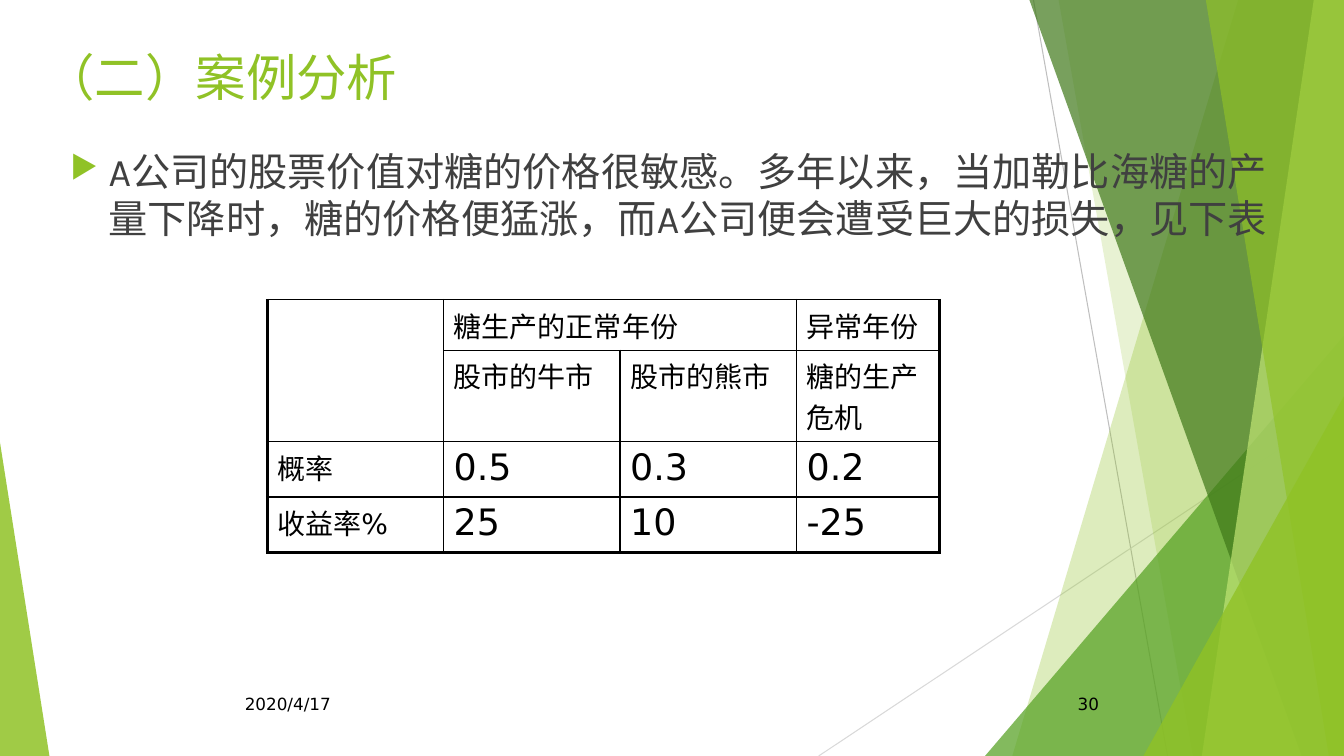
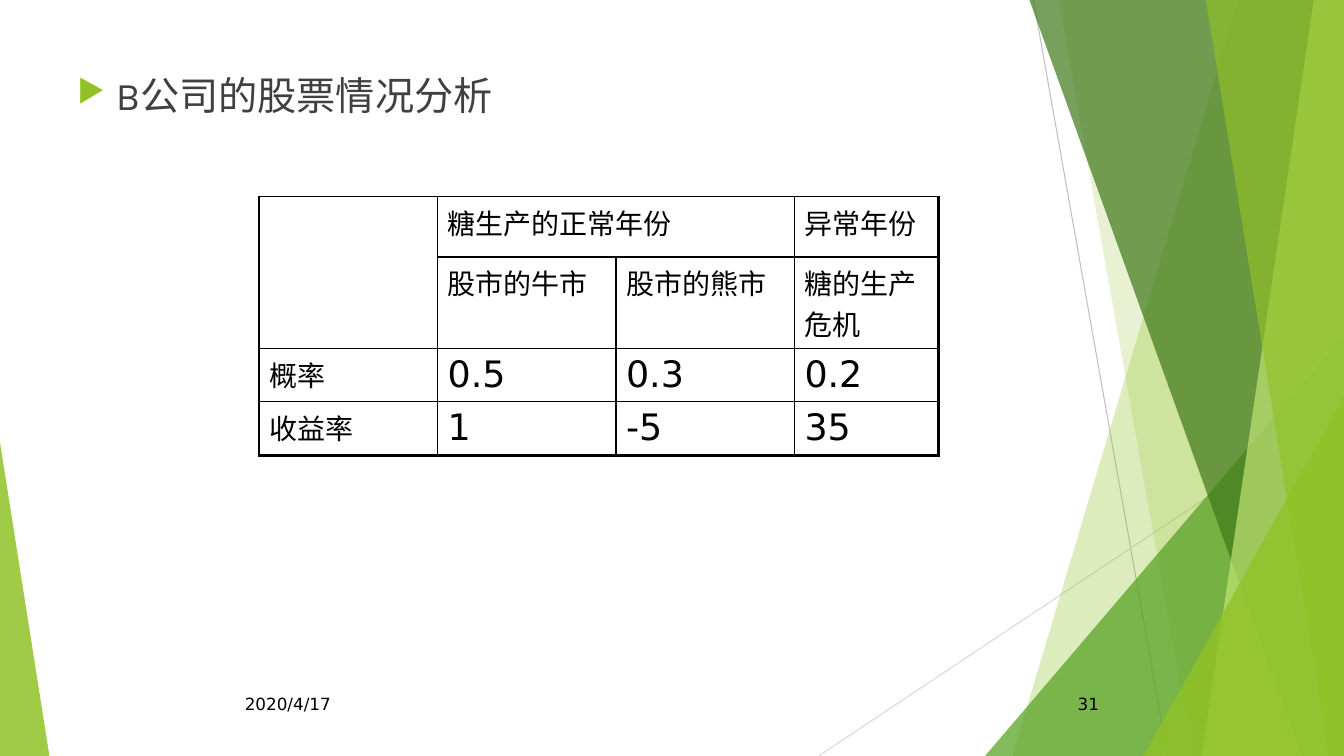
from lxml import etree
from pptx import Presentation
from pptx.dml.color import RGBColor
from pptx.enum.shapes import MSO_CONNECTOR, MSO_SHAPE
from pptx.enum.text import MSO_ANCHOR, MSO_AUTO_SIZE, PP_ALIGN
from pptx.oxml.ns import qn
from pptx.util import Pt

PX = 9144
WIDTH, HEIGHT = 1333, 750
LEFT, RIGHT = PP_ALIGN.LEFT, PP_ALIGN.RIGHT
TOP = MSO_ANCHOR.TOP
NO_AUTOFIT = MSO_AUTO_SIZE.NONE
TRIANGLE, STRAIGHT = MSO_SHAPE.ISOSCELES_TRIANGLE, MSO_CONNECTOR.STRAIGHT
TITLE_ONLY, BLANK = 5, 6

GREEN, MID_GREEN, DARK_GREEN, LIME = "90C226", "54A021", "3F7819", "C0E474"
BLACK, TEXT_GREY, LINE_GREY, PALE_GREY = "000000", "404040", "BFBFBF", "D9D9D9"

TITLE = {"name": "Arial", "size": Pt(36), "bold": False, "color": GREEN}
BODY = {"name": "Karla", "size": Pt(28), "color": TEXT_GREY}
FOOTER = {"name": "DejaVu Sans", "size": Pt(12), "color": BLACK}
LABEL = {"name": "DejaVu Sans", "size": Pt(20), "color": BLACK}
NUMBER = {**LABEL, "size": Pt(26)}
FRAME = {"word_wrap": True, "vertical_anchor": TOP, "auto_size": NO_AUTOFIT}

DATE = "2020/4/17"
HEADER_ROWS = [
    ["", "糖生产的正常年份", "", "异常年份"],
    ["", "股市的牛市", "股市的熊市", "糖的生产危机"],
    ["概率", "0.5", "0.3", "0.2"],
]
THIN, THICK = Pt(1), Pt(2.25)


def px(*lengths):
    """Turn px lengths into EMU."""
    return [length * PX for length in lengths]


def rgb(code):
    """Turn a hex string into a colour."""
    return RGBColor.from_string(code)


def add_xml(parent, tag, **attributes):
    """Append a DrawingML child element."""
    child = etree.SubElement(parent, qn(tag))
    for name, value in attributes.items():
        child.set(name, str(value))
    return child


def write(para, text, style, align=LEFT):
    """Write one formatted run into a paragraph."""
    para.alignment = align
    span = para.add_run()
    span.text = text
    for name, value in style.items():
        if name == "color":
            span.font.color.rgb = rgb(value)
        else:
            setattr(span.font, name, value)
    return span


def set_asian_font(span, style):
    """Use the style's font for East Asian text as well."""
    add_xml(span.font._element, "a:ea", typeface=style["name"])


def format_frame(frame):
    """Apply the shared text frame settings."""
    for name, value in FRAME.items():
        setattr(frame, name, value)


def add_text(page, box, text, style, align=LEFT):
    """Add a text box and return its paragraph and run."""
    frame = page.shapes.add_textbox(*px(*box)).text_frame
    format_frame(frame)
    para = frame.paragraphs[0]
    return para, write(para, text, style, align)


def add_title(page, box, text):
    """Place and fill the title placeholder."""
    title = page.shapes.title
    for name, value in zip(("left", "top", "width", "height"), px(*box)):
        setattr(title, name, value)
    format_frame(title.text_frame)
    set_asian_font(write(title.text_frame.paragraphs[0], text, TITLE), TITLE)


def add_bullet(page, box, text):
    """Add a body paragraph with a green arrow bullet."""
    para, span = add_text(page, box, text, BODY)
    set_asian_font(span, BODY)
    para.space_before = Pt(10)
    props = para._p.get_or_add_pPr()
    props.set("marL", str(38 * PX))
    props.set("indent", str(-38 * PX))
    add_xml(add_xml(props, "a:buClr"), "a:srgbClr", val=GREEN)
    add_xml(props, "a:buSzPct", val=80000)
    add_xml(props, "a:buChar", char="▶")


def paint(shape, color, opacity):
    """Give a shape a translucent fill, no line and no shadow."""
    shape.shadow.inherit = False
    shape.line.fill.background()
    shape.fill.solid()
    shape.fill.fore_color.rgb = rgb(color)
    fill = shape._element.spPr.find(qn("a:solidFill"))
    add_xml(fill[0], "a:alpha", val=opacity * 1000)


def add_line(page, ends, color):
    """Add a thin straight line."""
    line = page.shapes.add_connector(STRAIGHT, *px(*ends))
    line.line.color.rgb = rgb(color)
    line.line.width = Pt(0.75)
    add_xml(line._element.spPr, "a:effectLst")


def add_band(page, top_x, bottom_x, color, opacity):
    """Add a full-height band from a slanted edge to the right side."""
    outline = page.shapes.build_freeform(top_x, 0, scale=PX)
    outline.add_line_segments([(WIDTH, 0), (WIDTH, HEIGHT), (bottom_x, HEIGHT)])
    paint(outline.convert_to_shape(), color, opacity)


def add_triangle(page, left, top, width, apex, color, opacity):
    """Add a triangle standing on the bottom edge."""
    box = px(left, top, width, HEIGHT - top)
    triangle = page.shapes.add_shape(TRIANGLE, *box)
    triangle.adjustments[0] = apex
    paint(triangle, color, opacity)


def move_to_master(deck, page):
    """Move the drawn shapes of a page to the slide master."""
    tree = deck.slide_master.shapes._spTree
    drawn = [shape for shape in page.shapes if not shape.is_placeholder]
    for number, shape in enumerate(drawn, 100):
        shape._element.xpath(".//p:cNvPr")[0].set("id", str(number))
        tree.append(shape._element)


def add_backdrop(deck, page):
    """Draw the green facets shared by every slide."""
    add_line(page, (1025, 0, 1158, HEIGHT), LINE_GREY)
    add_line(page, (WIDTH, 403, 812, HEIGHT), PALE_GREY)
    add_band(page, 1228, 1004, GREEN, 30)
    add_band(page, 1050, 1183, GREEN, 20)
    add_triangle(page, 977, 333, 356, 1, MID_GREEN, 72)
    add_band(page, 1021, 1291, DARK_GREEN, 70)
    add_band(page, 1303, 1192, LIME, 70)
    add_band(page, 1196, 1318, GREEN, 65)
    add_triangle(page, 1134, 393, 199, 1, GREEN, 80)
    add_triangle(page, 0, 439, 49, 0, GREEN, 85)
    move_to_master(deck, page)


def add_footer(page, number):
    """Add the date and the page number."""
    add_text(page, (233, 683, 217, 52), DATE, FOOTER)
    add_text(page, (883, 683, 217, 52), number, FOOTER, RIGHT)


def set_borders(cell, widths):
    """Draw black cell borders, given a width for each side."""
    props = cell._tc.get_or_add_tcPr()
    for side, width in widths.items():
        border = add_xml(props, f"a:ln{side}", w=int(width))
        add_xml(add_xml(border, "a:solidFill"), "a:srgbClr", val=BLACK)


def add_return_table(page, left, top, widths, heights, returns):
    """Add the table of probabilities and returns."""
    rows = [*HEADER_ROWS, returns]
    box = px(left, top, sum(widths), sum(heights))
    table = page.shapes.add_table(len(rows), len(widths), *box).table
    table.first_row = table.horz_banding = False
    for column, width in zip(table.columns, widths):
        column.width = width * PX
    for row, height in zip(table.rows, heights):
        row.height = height * PX
    last_row, last_column = len(rows) - 1, len(widths) - 1
    for r, texts in enumerate(rows):
        for c, text in enumerate(texts):
            cell = table.cell(r, c)
            set_borders(cell, {
                "L": THICK if c == 0 else THIN,
                "R": THICK if c == last_column else THIN,
                "T": THIN,
                "B": THICK if r == last_row else THIN,
            })
            cell.fill.background()
            if text:
                style = NUMBER if r > 1 and c > 0 else LABEL
                write(cell.text_frame.paragraphs[0], text, style)
    table.cell(0, 0).merge(table.cell(1, 0))
    table.cell(0, 1).merge(table.cell(0, 2))


def main():
    """Build and save the deck."""
    deck = Presentation()
    deck.slide_width, deck.slide_height = px(WIDTH, HEIGHT)

    page = deck.slides.add_slide(deck.slide_layouts[TITLE_ONLY])
    add_backdrop(deck, page)
    add_footer(page, "30")
    add_title(page, (34, 41, 398, 91), "（二）案例分析")
    add_bullet(page, (60, 141, 1224, 424),
               "A公司的股票价值对糖的价格很敏感。多年以来，当加勒比海糖的产量下降时，"
               "糖的价格便猛涨，而A公司便会遭受巨大的损失，见下表")
    add_return_table(page, 265, 297, [175] * 3 + [142], [43, 77, 55, 55],
                     ["收益率%", "25", "10", "-25"])

    page = deck.slides.add_slide(deck.slide_layouts[BLANK])
    add_footer(page, "31")
    add_bullet(page, (67, 66, 940, 424), "B公司的股票情况分析")
    add_return_table(page, 257, 195, [177] * 3 + [143], [60, 77, 53, 53],
                     ["收益率", "1", "-5", "35"])

    deck.save("out.pptx")


if __name__ == "__main__":
    main()
